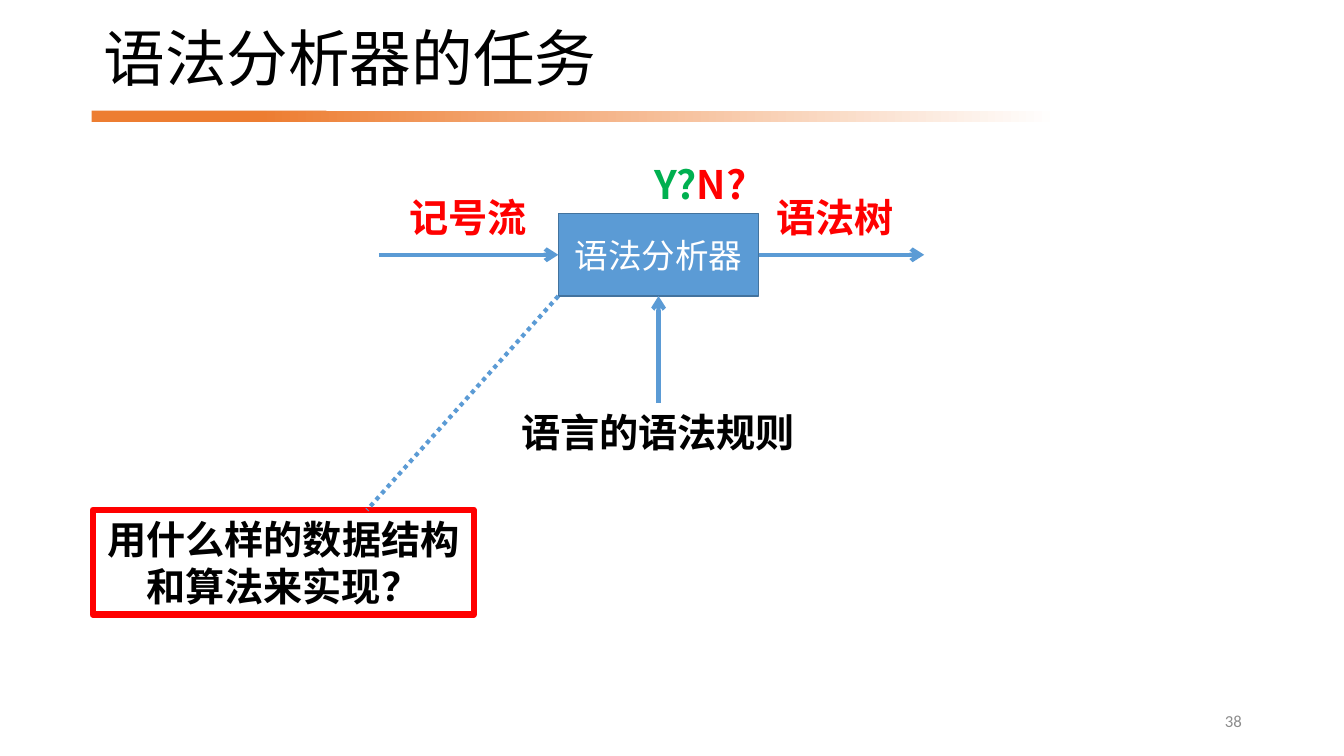
"""Build the slide on the task of a syntax analyser."""
import pptx
import pptx.dml.color
import pptx.enum.dml
import pptx.enum.shapes
import pptx.enum.text
import pptx.oxml
import pptx.oxml.ns
import pptx.util

Cm = pptx.util.Cm
Pt = pptx.util.Pt
ALIGN = pptx.enum.text.PP_ALIGN
ANCHOR = pptx.enum.text.MSO_ANCHOR
qn = pptx.oxml.ns.qn

THEME = {
    "orange": "ED7D31", "blue": "5B9BD5", "edge": "43739E", "red": "FF0000",
    "green": "00B050", "black": "000000", "white": "FFFFFF", "grey": "8C8C8C",
    "cjk": "Noto Sans CJK SC", "title_font": "Arial", "number_font": "Calibri",
    "title": 44, "label": 28, "box": 24, "number": 12,
}

TITLE = ("语法分析器的任务", (2.36, 0.43, 28.3, 2.26))
PAGE = ("38", (23.93, 17.65, 7.62, 1.02))
ANALYSER = ("语法分析器", (14.07, 5.38, 5.05, 2.08))
QUESTION = ("用什么样的数据结构和算法来实现？", (2.34, 12.85, 9.6, 2.64))
LABELS = [
    ([("记号流", "red")], (9.88, 4.75, 3.84, 1.45), True),
    ([("语法树", "red")], (19.12, 4.75, 3.84, 1.45), True),
    ([("语言的语法规则", "black")], (12.75, 10.16, 7.67, 1.45), True),
    ([("Y?", "green"), ("N?", "red")], (16.18, 3.91, 2.95, 1.45), False),
]
BAR_TOP, BAR_HEIGHT = 2.79, 0.28
SOLID_BAR, FADING_BAR = (2.31, 5.92), (6.53, 20.12)
INPUT_X, OUTPUT_X, RULES_Y, QUESTION_JOIN_X = 9.55, 23.29, 10.16, 9.25


def color(name):
    return pptx.dml.color.RGBColor.from_string(THEME[name])


def write(sp, runs, size, font="cjk", bold=False, align=ALIGN.CENTER,
          anchor=ANCHOR.TOP, wrap=True):
    tf = sp.text_frame
    tf.word_wrap = wrap
    tf.vertical_anchor = anchor
    p = tf.paragraphs[0]
    p.alignment = align
    for text, ink in runs:
        r = p.add_run()
        r.text = text
        r.font.size = Pt(THEME[size])
        r.font.bold = bold
        r.font.name = THEME[font]
        r.font.color.rgb = color(ink)
        ea = pptx.oxml.parse_xml(
            '<a:ea xmlns:a="http://schemas.openxmlformats.org/drawingml/2006/main"/>')
        ea.set("typeface", THEME["cjk"])
        r.font._element.find(qn("a:latin")).addnext(ea)
    return p


def add_text(s, at, runs, size, **style):
    sp = s.shapes.add_textbox(*map(Cm, at))
    return write(sp, runs, size, **style)


def add_rect(s, at, fill=None, line=None, width=1):
    sp = s.shapes.add_shape(pptx.enum.shapes.MSO_SHAPE.RECTANGLE, *map(Cm, at))
    sp.shadow.inherit = False
    if fill:
        sp.fill.solid()
        sp.fill.fore_color.rgb = color(fill)
    else:
        sp.fill.background()
    if line:
        sp.line.color.rgb = color(line)
        sp.line.width = Pt(width)
    else:
        sp.line.fill.background()
    return sp


def add_line(s, start, end, arrow=True):
    sp = s.shapes.add_connector(
        pptx.enum.shapes.MSO_CONNECTOR.STRAIGHT, *map(Cm, start + end))
    sp.line.color.rgb = color("blue")
    sp.line.width = Pt(3)
    if arrow:
        ln = sp.line._get_or_add_ln()
        ln.append(ln.makeelement(qn("a:tailEnd"), {"type": "arrow"}))
    else:
        sp.line.dash_style = pptx.enum.dml.MSO_LINE.ROUND_DOT
        sp.line._get_or_add_ln().find(qn("a:prstDash")).set("val", "sysDot")
    props = sp._element.spPr
    props.append(props.makeelement(qn("a:effectLst"), {}))


def add_header(s):
    for x, width in (SOLID_BAR, FADING_BAR):
        bar = add_rect(s, (x, BAR_TOP, width, BAR_HEIGHT), "orange")
    bar.fill.gradient()
    bar.fill.gradient_angle = 0
    for stop, position, name in zip(bar.fill.gradient_stops, (0, 1), ("orange", "white")):
        stop.position = position
        stop.color.rgb = color(name)
    text, at = TITLE
    p = add_text(s, at, [(text, "black")], "title", font="title_font",
                 align=ALIGN.LEFT, anchor=ANCHOR.MIDDLE)
    p.line_spacing = 0.9
    text, at = PAGE
    add_text(s, at, [(text, "grey")], "number", font="number_font",
             align=ALIGN.RIGHT, anchor=ANCHOR.MIDDLE)


def add_diagram(s):
    text, at = ANALYSER
    left, top, width, height = at
    right, bottom = left + width, top + height
    center, middle = left + width / 2, top + height / 2
    write(add_rect(s, at, "blue", "edge"), [(text, "white")], "box", anchor=ANCHOR.MIDDLE)
    add_line(s, (INPUT_X, middle), (left, middle))
    add_line(s, (right, middle), (OUTPUT_X, middle))
    add_line(s, (center, RULES_Y), (center, bottom))
    for runs, place, wrap in LABELS:
        add_text(s, place, runs, "label", bold=True, wrap=wrap)
    text, at = QUESTION
    write(add_rect(s, at, line="red", width=4.5), [(text, "black")], "label", bold=True)
    add_line(s, (left, bottom), (QUESTION_JOIN_X, at[1]), arrow=False)


def main():
    prs = pptx.Presentation()
    prs.slide_width, prs.slide_height = Cm(33.87), Cm(19.05)
    s = prs.slides.add_slide(prs.slide_layouts[6])
    add_header(s)
    add_diagram(s)
    prs.save("out.pptx")


if __name__ == "__main__":
    main()
